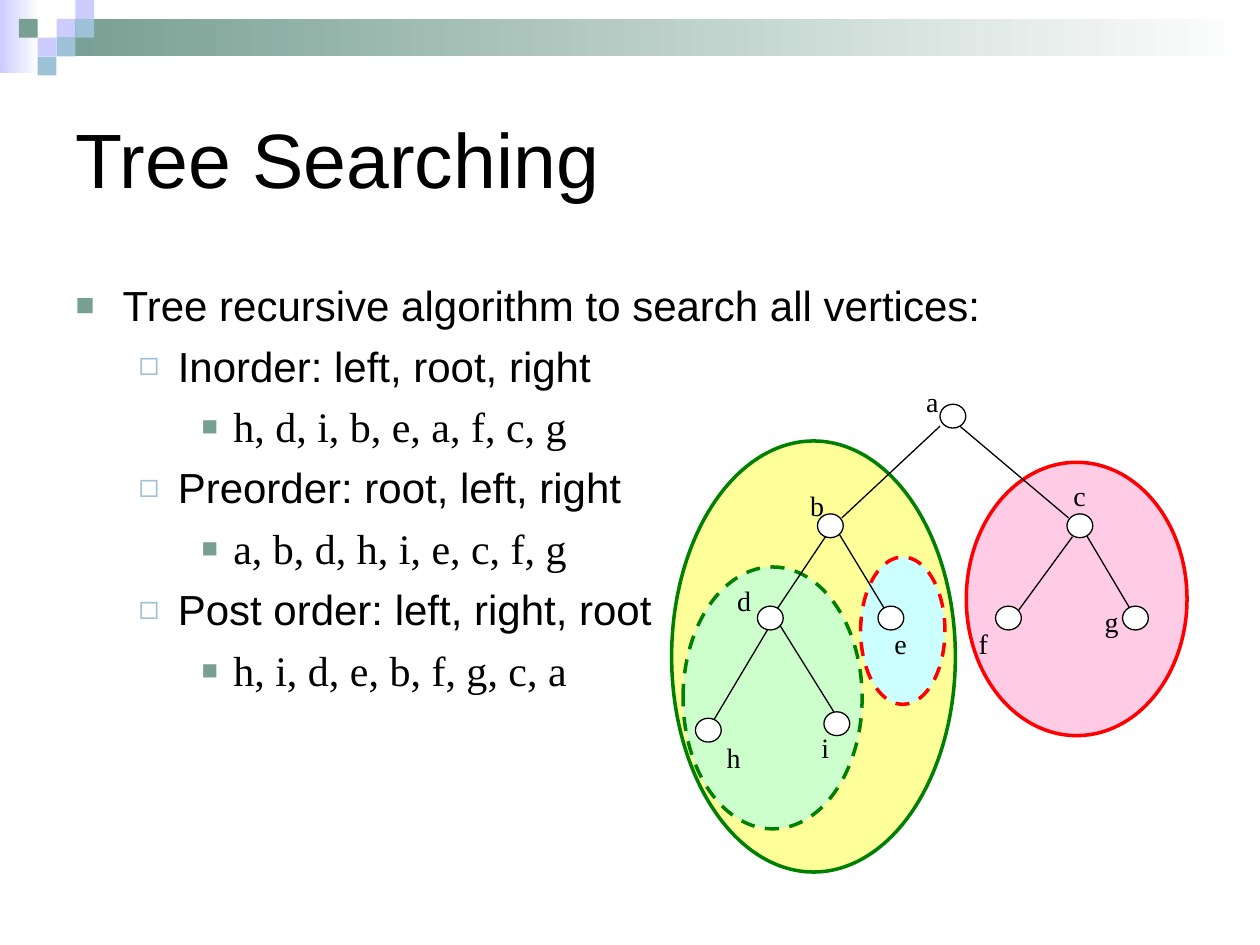
from lxml import etree
from pptx import Presentation
from pptx.dml.color import RGBColor
from pptx.enum import dml, shapes, text
from pptx.oxml import ns
from pptx.util import Cm, Pt

HUES = {
    "black": "000000", "white": "FFFFFF", "sage": "779F92", "lilac": "CCCCFF",
    "sky": "9DC2D7", "pink": "FF99CC", "red": "FF0000", "yellow": "FFFF99",
    "green": "008000", "cyan": "CCFFFF", "mint": "CCFFCC",
}
SANS, SERIF = "Arial", "Times New Roman"
OVAL, RECT = shapes.MSO_SHAPE.OVAL, shapes.MSO_SHAPE.RECTANGLE

# Each level: left margin, hanging indent, bullet, its colour, its size, font
LEVELS = [
    (0.95, 0.95, "■", "sage", 75, SANS),
    (2.06, 0.79, "◻", "sky", 80, SANS),
    (3.18, 0.64, "■", "sage", 65, SERIF),
]
LINES = [
    (0, "Tree recursive algorithm to search all vertices:"),
    (1, "Inorder: left, root, right"),
    (2, "h, d, i, b, e, a, f, c, g"),
    (1, "Preorder: root, left, right"),
    (2, "a, b, d, h, i, e, c, f, g"),
    (1, "Post order: left, right, root"),
    (2, "h, i, d, e, b, f, g, c, a"),
]
# Subtree areas: box, fill, line, dashed, opacity in percent
AREAS = [
    ((5.94, 1.7, 4.45, 5.51), "pink", "red", False, 50),
    ((0, 1.27, 5.72, 8.69), "yellow", "green", False, 100),
    ((3.81, 3.61, 1.7, 2.97), "cyan", "red", True, 100),
    ((0.23, 3.81, 3.61, 5.28), "mint", "green", True, 100),
]
# Each vertex: corner of its circle, corner of its label
NODES = {
    "a": ((5.41, 0.53), (4.88, 0)),
    "b": ((2.94, 2.74), (2.54, 2.11)),
    "c": ((7.97, 2.74), (7.85, 1.91)),
    "d": ((1.73, 4.6), (1.07, 4.01)),
    "e": ((4.16, 4.6), (4.24, 4.88)),
    "f": ((6.53, 4.6), (5.94, 4.88)),
    "g": ((9.09, 4.6), (8.48, 4.45)),
    "h": ((0.48, 6.86), (0.86, 7.19)),
    "i": ((3.07, 6.73), (2.77, 6.99)),
}
EDGES = [
    (5.41, 0.97, 3.43, 2.82), (5.81, 0.97, 8, 2.82),
    (3.1, 3.2, 2.13, 4.65), (3.38, 3.15, 4.32, 4.7),
    (8.08, 3.2, 6.98, 4.7), (8.35, 3.15, 9.24, 4.65),
    (1.93, 5.08, 0.84, 6.91), (2.13, 4.9, 3.3, 6.78),
]


def rgb(hue):
    return RGBColor.from_string(HUES[hue])


def sub(node, tag, **attrs):
    return etree.SubElement(node, ns.qn(tag), attrs)


def add_run(para, words, size, font):
    run = para.add_run()
    run.text = words
    run.font.size, run.font.name = Pt(size), font
    run.font.color.rgb = rgb("black")


def add_form(slide, kind, box, fill, line=None, width=0.75):
    form = slide.shapes.add_shape(kind, *map(Cm, box))
    form.shadow.inherit = False
    form.fill.solid()
    form.fill.fore_color.rgb = rgb(fill)
    if line:
        form.line.color.rgb, form.line.width = rgb(line), Pt(width)
    else:
        form.line.fill.background()
    return form


def draw_banner(slide, left, top, unit):
    def fade(box, hue):
        """Bar that runs from a colour on the left to white."""
        bar = add_form(slide, RECT, box, hue)
        bar.fill.gradient()
        bar.fill.gradient_angle = 0
        for stop, tone in zip(bar.fill.gradient_stops, (hue, "white")):
            stop.color.rgb = rgb(tone)

    fade((left, top, 0.79, 1.47), "lilac")
    fade((left + 3 * unit, top + unit, 25.4 - 3 * unit, 2 * unit), "sage")
    for col, row, hue in [(3, 1, "lilac"), (4, 0, "lilac"), (4, 1, "sky"),
                          (2, 2, "lilac"), (1, 1, "sage"), (3, 2, "sky"),
                          (2, 3, "sky")]:
        box = (left + col * unit, top + row * unit, unit, unit)
        add_form(slide, RECT, box, hue)


def place(holder, box, anchor):
    holder.left, holder.top, holder.width, holder.height = map(Cm, box)
    frame = holder.text_frame
    frame.word_wrap, frame.auto_size = True, text.MSO_AUTO_SIZE.NONE
    frame.vertical_anchor = anchor
    return frame


def fill_title(holder, box):
    para = place(holder, box, text.MSO_ANCHOR.MIDDLE).paragraphs[0]
    para.alignment = text.PP_ALIGN.LEFT
    add_run(para, "Tree Searching", 44, SANS)


def fill_list(holder, box):
    frame = place(holder, box, text.MSO_ANCHOR.TOP)
    for num, (level, words) in enumerate(LINES):
        para = frame.add_paragraph() if num else frame.paragraphs[0]
        left, hang, mark, hue, size, font = LEVELS[level]
        para.level, para.alignment = level, text.PP_ALIGN.JUSTIFY
        para.space_before = Pt(6)
        props = para._p.get_or_add_pPr()
        props.set("marL", str(Cm(left)))
        props.set("indent", str(-Cm(hang)))
        sub(sub(props, "a:buClr"), "a:srgbClr", val=HUES[hue])
        sub(props, "a:buSzPct", val=str(size * 1000))
        sub(props, "a:buFont", typeface=SANS)
        sub(props, "a:buChar", char=mark)
        add_run(para, words, 24, font)


def draw_areas(slide, left, top):
    for (x, y, wide, high), fill, line, dashed, alpha in AREAS:
        box = (left + x, top + y, wide, high)
        area = add_form(slide, OVAL, box, fill, line, 2)
        if dashed:
            area.line.dash_style = dml.MSO_LINE.DASH
        if alpha < 100:
            tone = area.fill._xPr.find(".//" + ns.qn("a:srgbClr"))
            sub(tone, "a:alpha", val=str(alpha * 1000))


def draw_tree(slide, left, top):
    draw_areas(slide, left, top)
    for x1, y1, x2, y2 in EDGES:
        ends = map(Cm, (left + x1, top + y1, left + x2, top + y2))
        edge = slide.shapes.add_connector(shapes.MSO_CONNECTOR.STRAIGHT, *ends)
        edge.line.color.rgb, edge.line.width = rgb("black"), Pt(0.75)
        sub(edge._element.spPr, "a:effectLst")
    for name, ((x, y), (tag_x, tag_y)) in NODES.items():
        add_form(slide, OVAL, (left + x, top + y, 0.52, 0.48), "white", "black")
        spot = (left + tag_x, top + tag_y, 1.83, 1.8)
        frame = slide.shapes.add_textbox(*map(Cm, spot)).text_frame
        frame.word_wrap = True
        frame.paragraphs[0].alignment = text.PP_ALIGN.JUSTIFY
        add_run(frame.paragraphs[0], name, 16, SERIF)


def main():
    deck = Presentation()
    deck.slide_width, deck.slide_height = Cm(25.4), Cm(19.05)
    slide = deck.slides.add_slide(deck.slide_layouts[1])
    draw_banner(slide, 0, 0, 0.38)
    fill_title(slide.shapes.title, (1.27, 1.27, 22.86, 3.81))
    fill_list(slide.placeholders[1], (1.27, 5.5, 22.86, 10.8))
    draw_tree(slide, 13.54, 7.62)
    deck.save("out.pptx")


if __name__ == "__main__":
    main()
